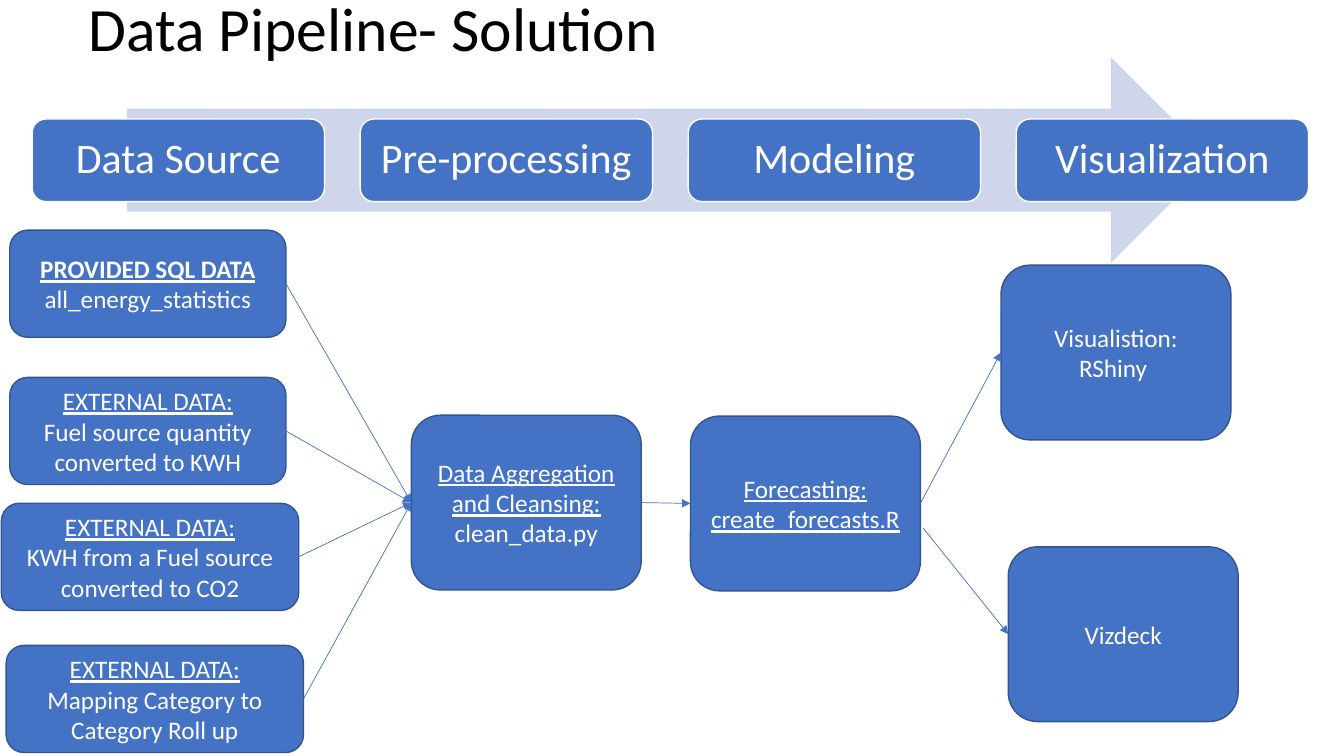
from dataclasses import dataclass

from lxml import etree
from pptx import Presentation
from pptx import util as u
from pptx.dml.color import RGBColor
from pptx.enum import shapes, text
from pptx.oxml import ns

Pt = u.Pt


@dataclass(frozen=True)
class Theme:
    font: str = "Calibri"
    blue: str = "4472C4"
    outline: str = "325491"
    band: str = "CFD5EA"
    white: str = "FFFFFF"
    black: str = "000000"
    title: int = 44
    stage: int = 30
    body: int = 18


THEME = Theme()
LEFT_SITE, RIGHT_SITE = 1, 3  # connection sites of a rounded rectangle
UNDER = {"underline": True}
BOLD_UNDER = {"underline": True, "bold": True}


def set_all(target, values):
    for name, value in values.items():
        setattr(target, name, value)


class Board:
    """Holds the theme and the current slide."""

    def __init__(self, slide, theme):
        self.slide, self.theme = slide, theme

    def label(self, shape, paragraphs, size, color, align, spacing=None, inset=None):
        frame = shape.text_frame
        set_all(frame, {"word_wrap": True, "vertical_anchor": text.MSO_ANCHOR.MIDDLE})
        if inset is not None:
            sides = ("left", "top", "right", "bottom")
            set_all(frame, {f"margin_{side}": Pt(inset) for side in sides})
        for i, (words, style) in enumerate(paragraphs):
            paragraph = frame.add_paragraph() if i else frame.paragraphs[0]
            set_all(paragraph, {"alignment": align, "line_spacing": spacing})
            run = paragraph.add_run()
            run.text = words
            set_all(run.font, {"name": self.theme.font, "size": Pt(size), **style})
            run.font.color.rgb = RGBColor.from_string(color)

    def title(self, words, bounds):
        box = self.slide.shapes.add_textbox(*map(Pt, bounds))
        self.label(box, [(words, {})], self.theme.title, self.theme.black,
                   text.PP_ALIGN.LEFT, 0.9)

    def block(self, kind, bounds, fill, line=None):
        shape = self.slide.shapes.add_shape(kind, *map(Pt, bounds))
        shape.shadow.inherit = False
        shape.fill.solid()
        shape.fill.fore_color.rgb = RGBColor.from_string(fill)
        if line:
            shape.line.color.rgb = RGBColor.from_string(line)
            shape.line.width = Pt(1)
        else:
            shape.line.fill.background()
        return shape

    def box(self, bounds, paragraphs, line=None, size=None, **layout):
        shape = self.block(shapes.MSO_SHAPE.ROUNDED_RECTANGLE, bounds,
                           self.theme.blue, line or self.theme.outline)
        self.label(shape, paragraphs, size or self.theme.body, self.theme.white,
                   text.PP_ALIGN.CENTER, **layout)
        return shape

    def arrow(self, target, source=None, start=(0, 0)):
        """Arrow from a box, or from a free start point, to the target box."""
        link = self.slide.shapes.add_connector(
            shapes.MSO_CONNECTOR.STRAIGHT, *map(Pt, start), Pt(0), Pt(0))
        if source is not None:
            link.begin_connect(source, RIGHT_SITE)
        link.end_connect(target, LEFT_SITE)
        link.line.color.rgb = RGBColor.from_string(self.theme.blue)
        link.line.width = Pt(0.5)
        properties = link._element.spPr
        etree.SubElement(properties.find(ns.qn("a:ln")), ns.qn("a:tailEnd"), type="triangle")
        etree.SubElement(properties, ns.qn("a:effectLst"))


deck = Presentation()
set_all(deck, {"slide_width": Pt(960), "slide_height": Pt(540)})
board = Board(deck.slides.add_slide(deck.slide_layouts[6]), THEME)

board.title("Data Pipeline- Solution", (56.2, -29.5, 828, 104.4))

# Stage band
board.block(shapes.MSO_SHAPE.RIGHT_ARROW, (90.7, 41, 776.2, 146.9), THEME.band)
STAGES = ("Data Source", "Pre-processing", "Modeling", "Visualization")
for i, stage in enumerate(STAGES):
    board.box((23 + 234.3 * i, 85, 208.8, 59), [(stage, {})], line=THEME.white,
              size=THEME.stage, spacing=0.9, inset=8)

# Processing and output steps
STEP_SIZE = (164.2, 124.8)
cleansing = board.box((293.8, 296.6, *STEP_SIZE), [
    ("Data Aggregation and Cleansing:", UNDER), ("clean_data.py", {})])
forecasting = board.box((493.2, 297.2, *STEP_SIZE), [
    ("Forecasting:", UNDER), ("create_forecasts.R", UNDER)])
shiny = board.box((715, 189.4, *STEP_SIZE), [("Visualistion: RShiny ", {})])
dashboard = board.box((720.2, 390.6, *STEP_SIZE), [("Vizdeck", {})])

# Data sources: left, top, width, heading with its style, detail
EXTERNAL = ("EXTERNAL DATA:", UNDER)
SOURCES = (
    (7, 164.4, 197.3, ("PROVIDED SQL DATA", BOLD_UNDER), "all_energy_statistics"),
    (7, 269.6, 197.3, EXTERNAL, "Fuel source quantity converted to KWH"),
    (1, 359.5, 212.4, EXTERNAL, "KWH from a Fuel source converted to CO2"),
    (4.4, 461, 212.4, EXTERNAL, "Mapping Category to Category Roll up"),
)
for left, top, width, heading, detail in SOURCES:
    data_source = board.box((left, top, width, 76.5), [heading, (detail, {})])
    board.arrow(cleansing, data_source)

# Flow through the later stages
board.arrow(forecasting, cleansing)
board.arrow(shiny, forecasting)
board.arrow(dashboard, start=(659.5, 377.3))

deck.save("out.pptx")
